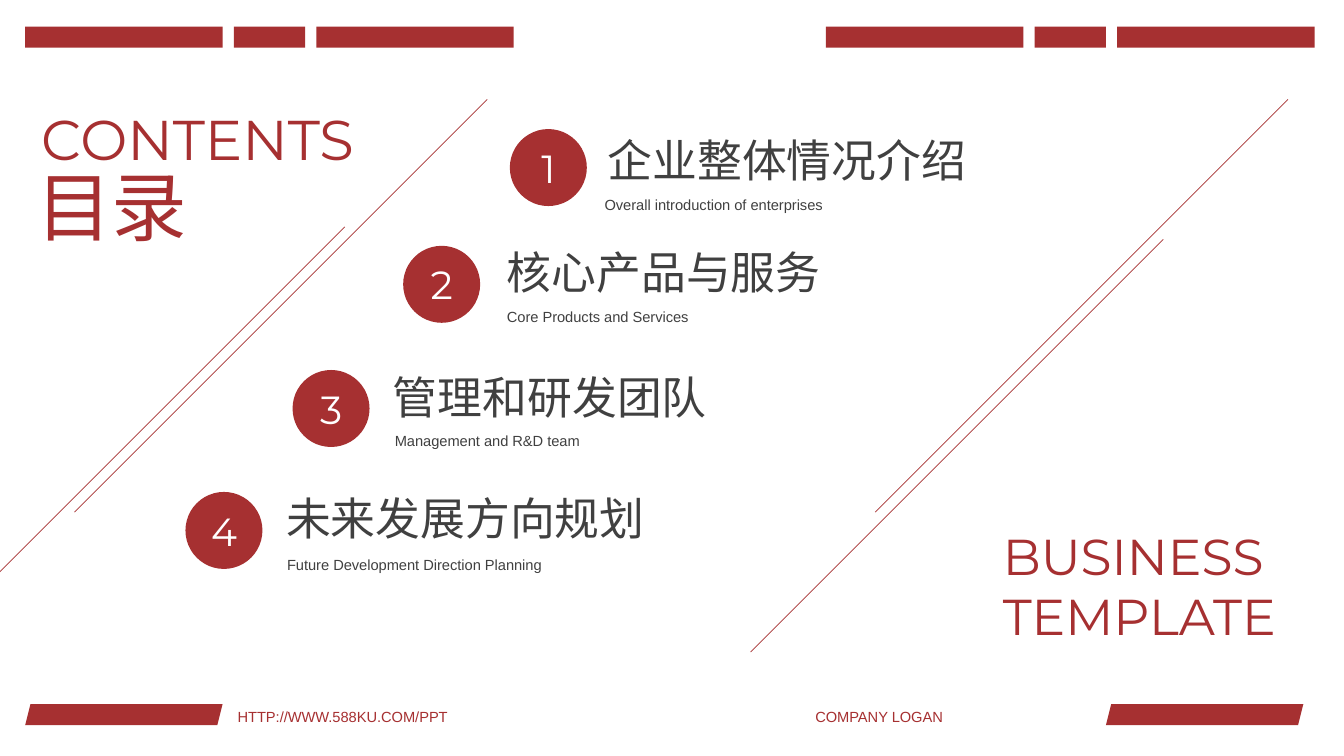
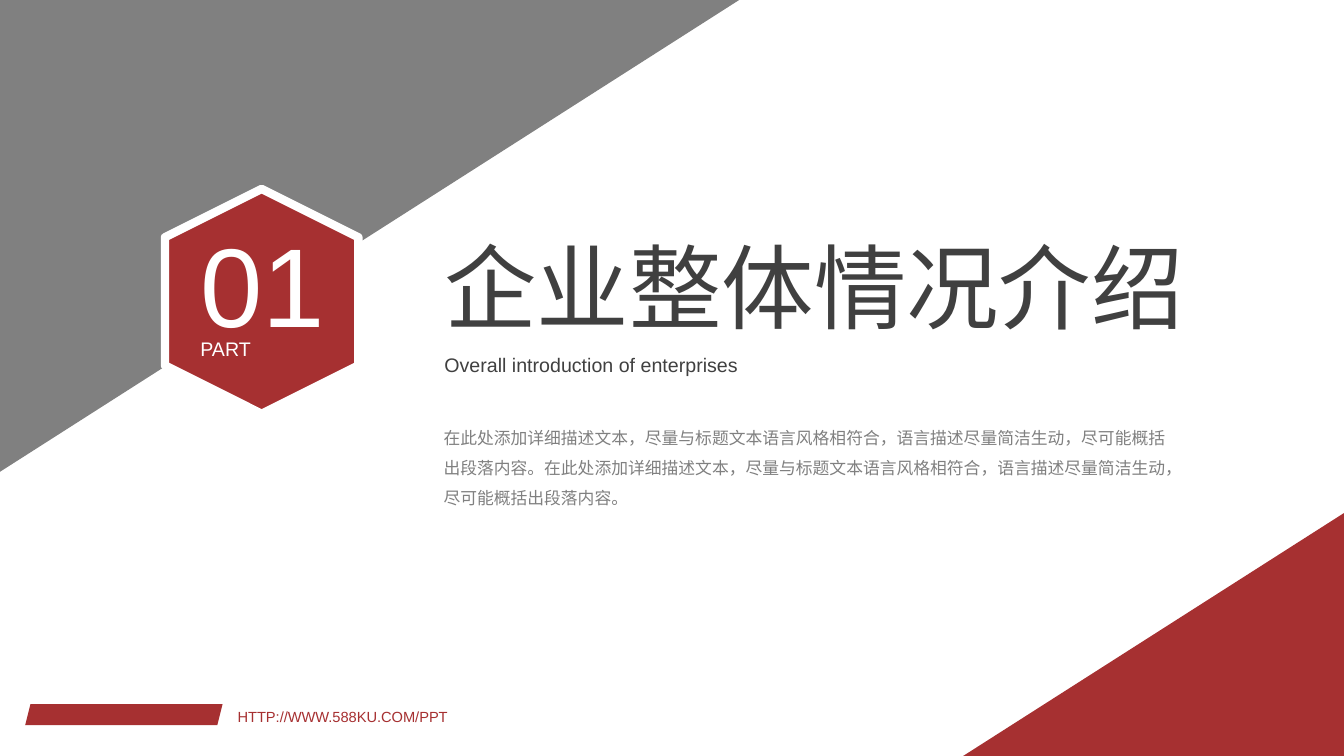
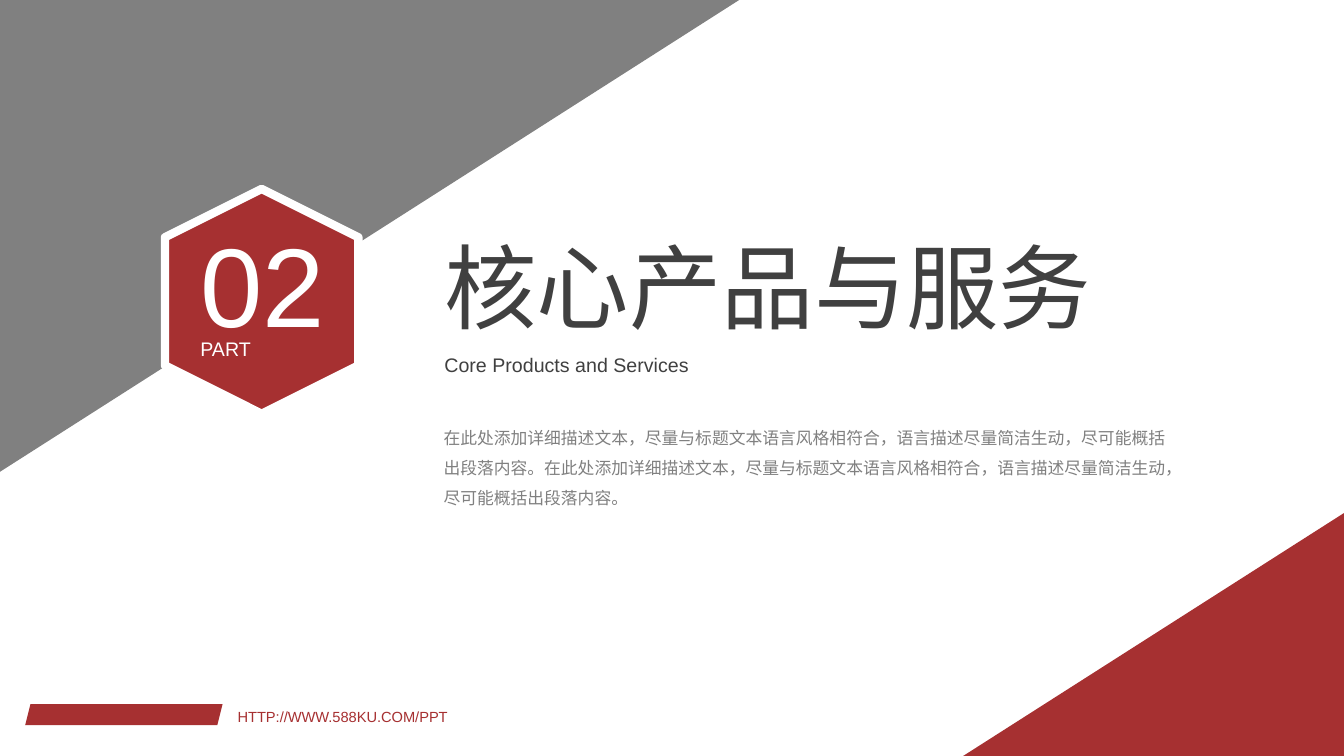
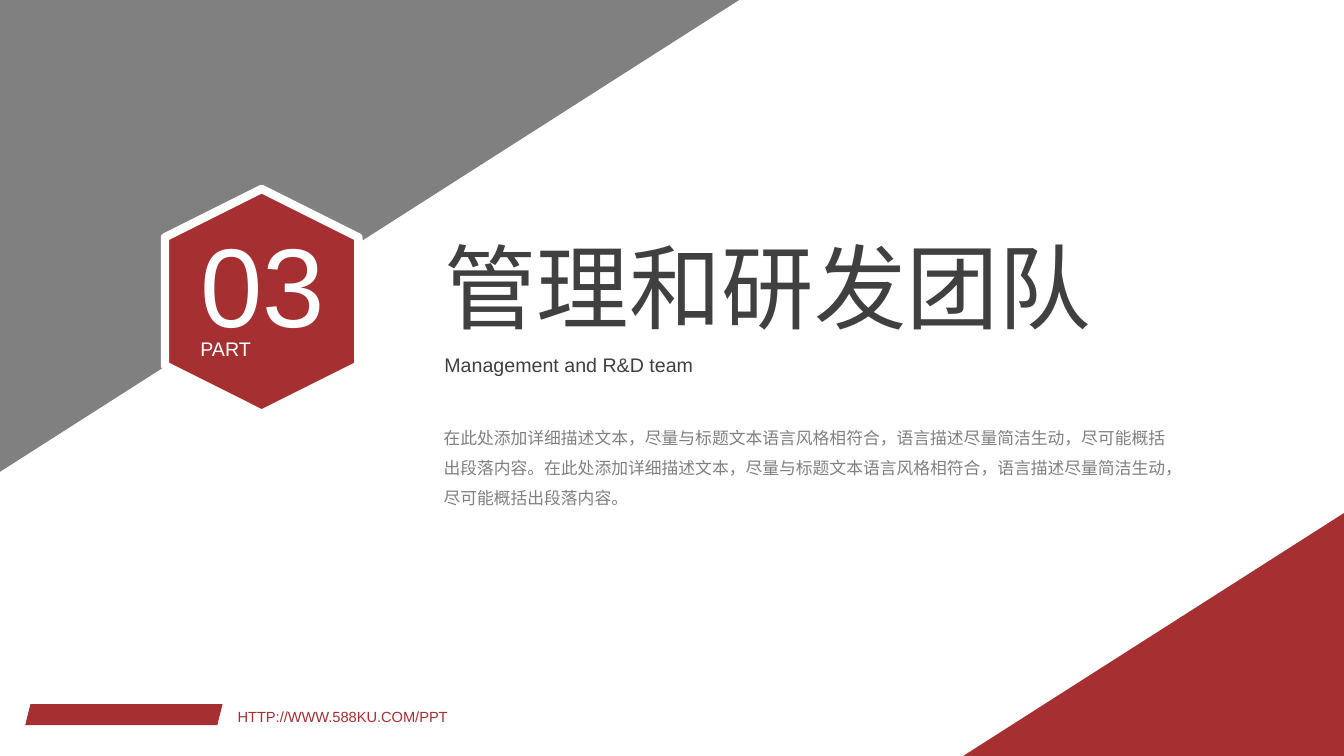
from dataclasses import dataclass

from pptx import Presentation
from pptx.dml.color import RGBColor
from pptx.enum.shapes import MSO_CONNECTOR, MSO_SHAPE
from pptx.enum.text import MSO_ANCHOR, MSO_AUTO_SIZE, PP_ALIGN
from pptx.oxml.ns import qn
from pptx.util import Pt

# Enum members
RECT, OVAL = MSO_SHAPE.RECTANGLE, MSO_SHAPE.OVAL
SLANT, HEX = MSO_SHAPE.PARALLELOGRAM, MSO_SHAPE.HEXAGON
WEDGE, LINE = MSO_SHAPE.RIGHT_TRIANGLE, MSO_CONNECTOR.STRAIGHT
TOP, MID = MSO_ANCHOR.TOP, MSO_ANCHOR.MIDDLE
LEFT, CENTER, FULL = PP_ALIGN.LEFT, PP_ALIGN.CENTER, PP_ALIGN.JUSTIFY
NOFIT = MSO_AUTO_SIZE.NONE

# Theme
RED = RGBColor(0xA6, 0x30, 0x31)
GRAY = RGBColor(0x80, 0x80, 0x80)
DARK = RGBColor(0x40, 0x40, 0x40)
WHITE = RGBColor(0xFF, 0xFF, 0xFF)
SANS, HEAD, HAN = "Arial", "Montserrat", "Noto Sans CJK SC"
WIDE, HIGH = 960, 540
BAR_W, BAR_H = 141, 15
URL = "HTTP://WWW.588KU.COM/PPT"
BLURB = (
    "在此处添加详细描述文本，尽量与标题文本语言风格相符合，"
    "语言描述尽量简洁生动，尽可能概括出段落内容。"
) * 2


@dataclass(frozen=True)
class Part:
    name: str
    note: str
    dot: tuple[float, float]
    head: tuple[float, float]
    sub: tuple[float, float]


PARTS = [
    Part("企业整体情况介绍", "Overall introduction of enterprises",
         (364.2, 92.2), (427, 91.4), (424.8, 136)),
    Part("核心产品与服务", "Core Products and Services",
         (288, 175.6), (355, 171.4), (355, 216)),
    Part("管理和研发团队", "Management and R&D team",
         (209, 264.3), (273.6, 260.6), (275, 304.6)),
    Part("未来发展方向规划", "Future Development Direction Planning",
         (132.5, 351.4), (197.3, 347), (198, 393.8)),
]


def write(shape, text: str, *, size: float, color=RED, font: str = SANS,
          align=LEFT, anchor=TOP, inset=(7.2, 3.6), space: float = 1.0):
    """Fill a shape with formatted paragraphs, one for each line."""
    frame = shape.text_frame
    frame.word_wrap, frame.auto_size = True, NOFIT
    frame.vertical_anchor = anchor
    frame.margin_left = frame.margin_right = Pt(inset[0])
    frame.margin_top = frame.margin_bottom = Pt(inset[1])
    frame.text = text
    for para in frame.paragraphs:
        para.alignment, para.line_spacing = align, space
        para.space_before = Pt(0)
        for run in para.runs:
            face = run.font
            face.name, face.size, face.bold = font, Pt(size), False
            face.color.rgb = color
            east = run._r.get_or_add_rPr().makeelement(
                qn("a:ea"), {"typeface": font})
            face._element.append(east)


def label(slide, x: float, y: float, w: float, h: float, text: str, **style):
    box = slide.shapes.add_textbox(Pt(x), Pt(y), Pt(w), Pt(h))
    write(box, text, **style)


def place(holder, x: float, y: float, w: float, h: float, text: str, **style):
    """Move a placeholder and fill it."""
    holder.left, holder.top = Pt(x), Pt(y)
    holder.width, holder.height = Pt(w), Pt(h)
    write(holder, text, **style)


def block(slide, kind, x: float, y: float, w: float, h: float,
          fill=RED, flip: str = ""):
    shape = slide.shapes.add_shape(kind, Pt(x), Pt(y), Pt(w), Pt(h))
    shape.shadow.inherit = False
    shape.fill.solid()
    shape.fill.fore_color.rgb = fill
    shape.line.fill.background()
    if flip:
        shape._element.spPr.get_or_add_xfrm().set(flip, "1")
    return shape


def slope(slide, x: float, y: float, size: float = 294.8):
    """Draw a thin line down to the left at 45 degrees."""
    line = slide.shapes.add_connector(
        LINE, Pt(x), Pt(y), Pt(x - size), Pt(y + size))
    line.line.color.rgb = RED
    line.line.width = Pt(0.5)
    props = line._element.spPr
    props.append(props.makeelement(qn("a:effectLst"), {}))


def foot(slide, bar: float, x: float, text: str):
    block(slide, SLANT, bar, 503, BAR_W, BAR_H)
    label(slide, x, 502, 211, 20, text, size=10.5, align=FULL)


def index(deck):
    """Contents slide."""
    slide = deck.slides.add_slide(deck.slide_layouts[5])
    # Top bars and footer
    for left in (18, 590):
        for step, width in ((0, BAR_W), (149, 51), (208, BAR_W)):
            block(slide, RECT, left + step, 19, width, BAR_H)
    foot(slide, 18, 162.7, URL)
    foot(slide, 790, 575.3, "COMPANY LOGAN")
    # Titles
    label(slide, 22.3, 71.3, 263.5, 55.4, "CONTENTS", size=40, font=HEAD)
    place(slide.shapes.title, 18.7, 110.9, 124, 72.7, "目录",
          size=54, font=HAN)
    label(slide, 709.2, 371.5, 230.4, 94.3, "BUSINESS\nTEMPLATE",
          size=36, font=HEAD)
    # Diagonals
    for x, y in ((348, 71), (920, 71), (831, 171), (246.3, 162)):
        slope(slide, x, y)
    # Numbered parts
    for num, part in enumerate(PARTS, 1):
        dot = block(slide, OVAL, *part.dot, 55, 55)
        write(dot, str(num), size=28, color=WHITE, font=HEAD,
              align=CENTER, anchor=MID)
        label(slide, *part.head, 273, 46, part.name,
              size=32, color=DARK, font=HAN)
        label(slide, *part.sub, 277, 20, part.note,
              size=10.5, color=DARK, align=FULL)


def cover(deck, num: int, part: Part):
    """Opening slide of one part."""
    slide = deck.slides.add_slide(deck.slide_layouts[2])
    # Corners
    block(slide, WEDGE, 0, 0, 528, 337, GRAY, "flipV")
    block(slide, WEDGE, 688, 366.5, 272, 173.5, RED, "flipH")
    # Number badge
    badge = block(slide, HEX, 106.6, 146.2, 160.6, 138.2)
    badge.rotation = 90
    badge.line.color.rgb = WHITE
    badge.line.width = Pt(6)
    label(slide, 136, 150.5, 104.4, 104.4, f"{num:02}", size=80, color=WHITE)
    label(slide, 136, 236.9, 93, 24.5, "PART",
          size=14, color=WHITE, align=FULL)
    foot(slide, 18, 162.7, URL)
    # Title, subtitle and description
    place(slide.shapes.title, 310.3, 160.6, 548, 87, part.name,
          size=66, color=DARK, font=HAN)
    label(slide, 310.3, 248.4, 539, 24.5, part.note,
          size=14, color=DARK, align=FULL)
    place(slide.placeholders[1], 311.8, 295.2, 527, 67, BLURB,
          size=12, color=GRAY, font=HAN, inset=(5, 3), space=1.5)


def main():
    deck = Presentation()
    deck.slide_width, deck.slide_height = Pt(WIDE), Pt(HIGH)
    index(deck)
    for num, part in enumerate(PARTS[:3], 1):
        cover(deck, num, part)
    deck.save("out.pptx")


if __name__ == "__main__":
    main()
